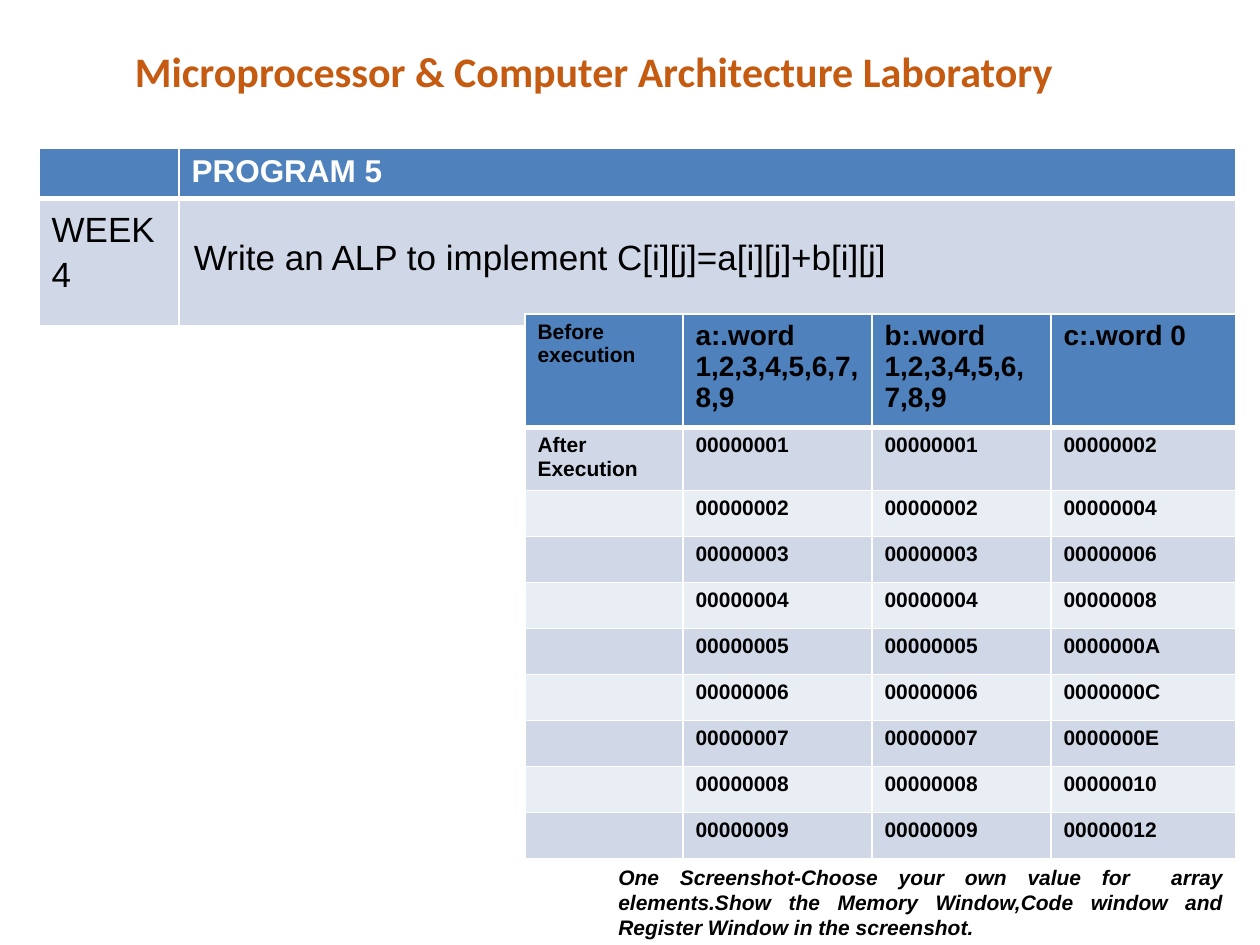
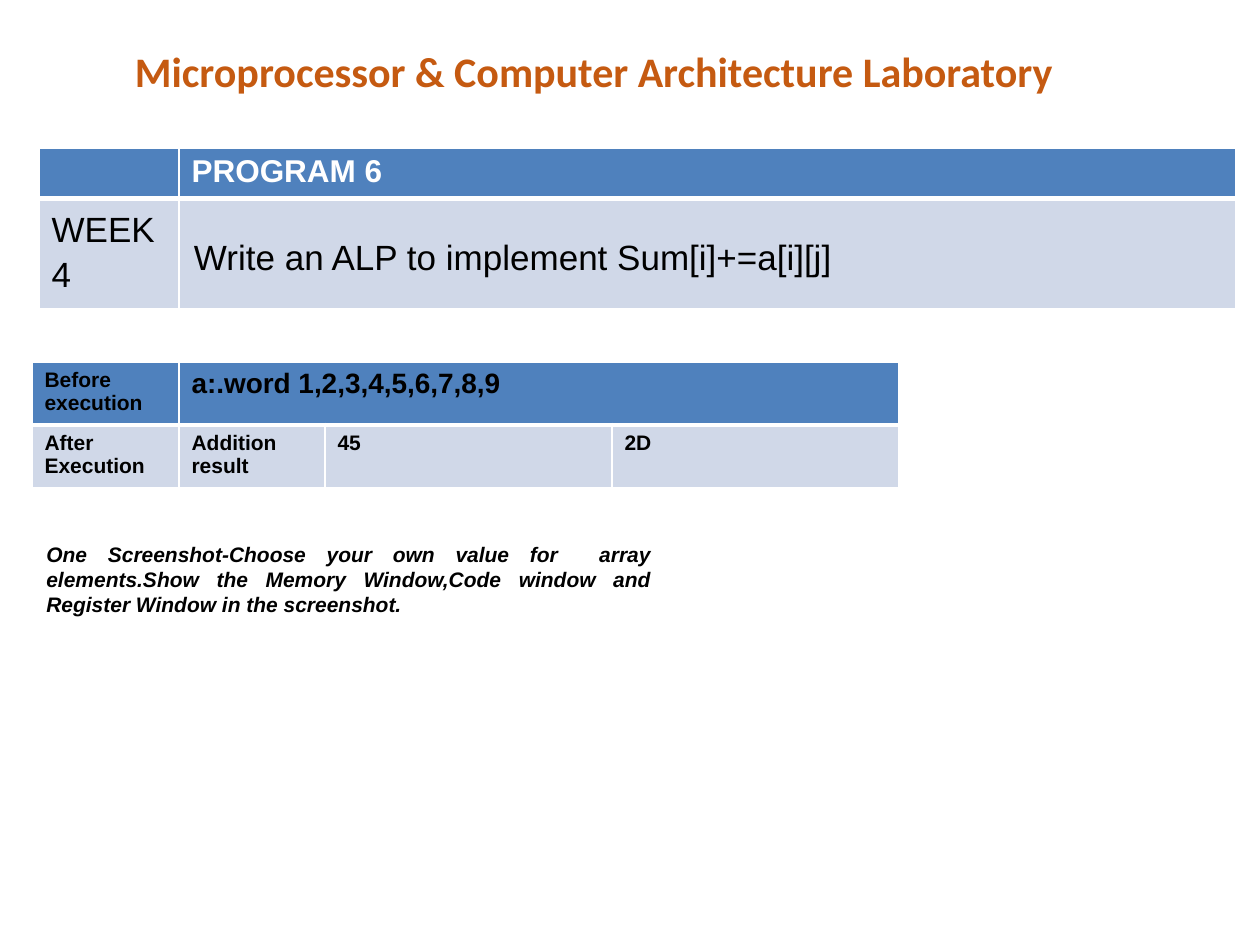
from lxml import etree
from pptx import Presentation
from pptx.dml.color import RGBColor
from pptx.enum.text import MSO_ANCHOR, PP_ALIGN
from pptx.oxml.ns import qn
from pptx.util import Emu, Pt

LEFT, CENTER, JUSTIFY = PP_ALIGN.LEFT, PP_ALIGN.CENTER, PP_ALIGN.JUSTIFY
MIDDLE = MSO_ANCHOR.MIDDLE

ORANGE = RGBColor(0xC5, 0x5A, 0x11)
BLUE = RGBColor(0x4F, 0x81, 0xBD)
BAND_DARK = RGBColor(0xD0, 0xD8, 0xE8)
BAND_LIGHT = RGBColor(0xE9, 0xED, 0xF4)
WHITE = RGBColor(0xFF, 0xFF, 0xFF)
BLACK = RGBColor(0, 0, 0)

PX_PER_INCH = 126
COURSE = "Microprocessor & Computer Architecture Laboratory"
NOTE = ("One Screenshot-Choose your own value for  array elements."
        "Show the Memory Window,Code window and Register Window in the screenshot.")
ARRAY = "1,2,3,4,5,6,7,8,9"


def px(n):
    return Emu(round(n * 914400 / PX_PER_INCH))


def write(tf, text, size, color=BLACK, bold=True, italic=False, font="Arial", align=LEFT):
    p = tf.paragraphs[0]
    p.alignment = align
    if not text:
        etree.SubElement(p._p, qn("a:endParaRPr"), sz=str(size * 100))
        return p
    r = p.add_run()
    r.text = text
    r.font.name, r.font.size = font, Pt(size)
    r.font.bold, r.font.italic = bold, italic
    r.font.color.rgb = color
    return p


def add_text(s, box, text, size, **style):
    tf = s.shapes.add_textbox(*map(px, box)).text_frame
    tf.word_wrap = True
    write(tf, text, size, **style)
    return tf


def set_borders(cell, top, bottom):
    """Draw white cell borders; top and bottom are widths in points."""
    tc_pr = cell._tc.get_or_add_tcPr()
    sides = (("L", 1), ("R", 1), ("T", top), ("B", bottom))
    for i, (side, width) in enumerate(sides):
        ln = etree.Element(qn(f"a:ln{side}"), w=str(Pt(width)))
        fill = etree.SubElement(ln, qn("a:solidFill"))
        etree.SubElement(fill, qn("a:srgbClr"), val=str(WHITE))
        tc_pr.insert(i, ln)


def add_grid(s, left, top, cols, rows):
    """Add a table with a blue header, banded rows and a thick rule below the header."""
    table = s.shapes.add_table(len(rows), len(cols), px(left), px(top),
                               px(sum(cols)), px(sum(rows))).table
    table.first_row = table.horz_banding = False
    for col, width in zip(table.columns, cols):
        col.width = px(width)
    for i, height in enumerate(rows):
        table.rows[i].height = px(height)
        for cell in table.rows[i].cells:
            cell.fill.solid()
            cell.fill.fore_color.rgb = BLUE if i == 0 else (BAND_LIGHT, BAND_DARK)[i % 2]
            set_borders(cell, top=3 if i == 1 else 1, bottom=3 if i == 0 else 1)
    return table


def add_title(s):
    tf = add_text(s, (32, 39, 1124, 63), COURSE, 24, color=ORANGE, font="Calibri", align=CENTER)
    tf.vertical_anchor = MIDDLE


def add_program(s, number, task, task_height):
    table = add_grid(s, 39, 148, (140, 1057), (49, task_height))
    write(table.cell(0, 0).text_frame, "", 18)
    write(table.cell(0, 1).text_frame, f"PROGRAM {number}", 18, color=WHITE)
    week = write(table.cell(1, 0).text_frame, "WEEK 4", 20, bold=False, align=JUSTIFY)
    week.line_spacing = 1.15
    cell = table.cell(1, 1)
    cell.margin_left = cell.margin_right = px(15)
    cell.margin_top, cell.margin_bottom = px(40), 0
    write(cell.text_frame, task, 20, bold=False)


def add_results(s, left, top, cols, row_heights, declarations, results):
    """Show the declared words in the header and the memory contents below it."""
    table = add_grid(s, left, top, cols, row_heights)
    write(table.cell(0, 0).text_frame, "Before execution", 12)
    for j, text in enumerate(declarations, 1):
        write(table.cell(0, j).text_frame, text, 16, align=JUSTIFY)
    for i, values in enumerate(results, 1):
        label = "After Execution" if i == 1 else ""
        for j, text in enumerate((label, *values)):
            write(table.cell(i, j).text_frame, text, 12)
    return table


def add_note(s, left, top):
    add_text(s, (left, top, 630, 90), NOTE, 12, italic=True, align=JUSTIFY)


def new_slide(prs):
    s = prs.slides.add_slide(prs.slide_layouts[6])
    add_title(s)
    return s


def build_matrix_addition(prs):
    s = new_slide(prs)
    add_program(s, 5, "Write an ALP to implement C[i][j]=a[i][j]+b[i][j]", 127)
    add_note(s, 606, 858)
    sums = [(f"{n:08X}", f"{n:08X}", f"{2 * n:08X}") for n in range(1, 10)]
    add_results(s, 525, 314, (158, 189, 179, 185), (113, 63) + (46,) * 8,
                (f"a:.word {ARRAY}", f"b:.word {ARRAY}", "c:.word 0"), sums)


def build_array_sum(prs):
    s = new_slide(prs)
    add_program(s, 6, "Write an ALP to implement Sum[i]+=a[i][j]", 110)
    add_note(s, 34, 535)
    table = add_results(s, 32, 362, (147, 146, 287, 287), (63, 63),
                        (f"a:.word {ARRAY}",), [("Addition result", "45", "2D")])
    table.cell(0, 1).merge(table.cell(0, 3))


def main():
    prs = Presentation()
    prs.slide_width, prs.slide_height = px(1260), px(945)
    build_matrix_addition(prs)
    build_array_sum(prs)
    prs.save("out.pptx")


if __name__ == "__main__":
    main()
